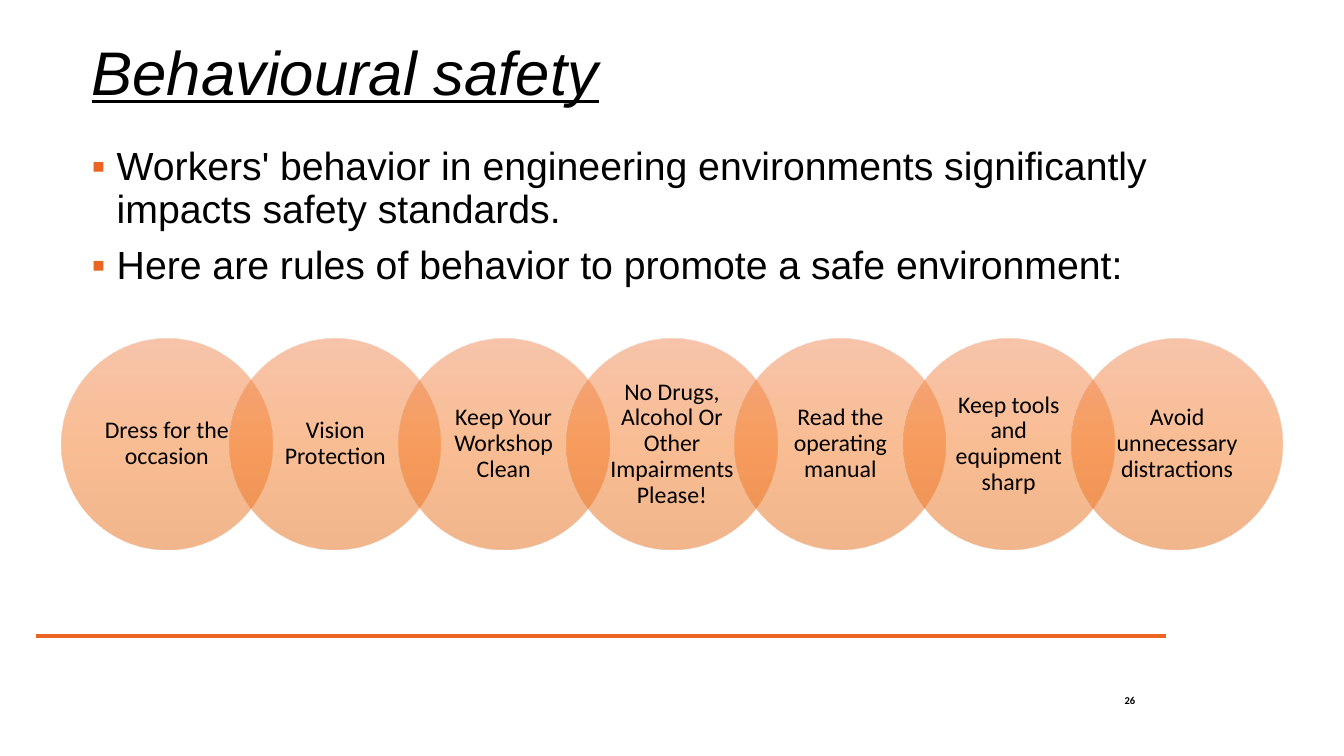
from dataclasses import dataclass

from lxml.etree import SubElement
from pptx import Presentation
from pptx.dml.color import RGBColor
from pptx.enum.shapes import MSO_CONNECTOR, MSO_SHAPE
from pptx.enum.text import MSO_ANCHOR, PP_ALIGN
from pptx.oxml import parse_xml
from pptx.oxml.ns import nsdecls, qn
from pptx.shapes.autoshape import Shape
from pptx.slide import Slide
from pptx.text.text import TextFrame
from pptx.util import Pt

SCALE = 9144  # EMU per px, 100 px to the inch


@dataclass(frozen=True)
class Theme:
    ink: str = "000000"
    accent: str = "EC6422"
    stops: tuple[tuple[int, str], ...] = (
        (0, "F18C57"), (50, "F67B28"), (100, "E56C19"))
    alpha: int = 50
    main: str = "Arial"
    small: str = "Calibri"
    title: float = 44
    body: float = 28
    label: float = 17
    page: float = 7.5
    rule: float = 2.25


@dataclass(frozen=True)
class Box:
    left: int
    top: int
    width: int
    height: int

    def emu(self) -> tuple[int, int, int, int]:
        return px(self.left), px(self.top), px(self.width), px(self.height)


@dataclass(frozen=True)
class Style:
    font: str
    size: float
    align: PP_ALIGN = PP_ALIGN.LEFT
    spacing: float = 0.9
    bold: bool = False
    slant: bool = False
    under: bool = False
    bullet: str = ""


THEME = Theme()
TITLE = Style(THEME.main, THEME.title, slant=True, under=True)
BODY = Style(THEME.main, THEME.body, bullet="▪")
LABEL = Style(THEME.small, THEME.label, PP_ALIGN.CENTER)
PAGE = Style(THEME.small, THEME.page, PP_ALIGN.RIGHT, 1.0, bold=True)

POINTS = (
    "Workers' behavior in engineering environments significantly "
    "impacts safety standards.",
    "Here are rules of behavior to promote a safe environment:",
)
RULES = (
    "Dress for the occasion",
    "Vision Protection",
    "Keep Your Workshop Clean",
    "No Drugs, Alcohol Or Other Impairments Please!",
    "Read the operating manual",
    "Keep tools and equipment sharp",
    "Avoid unnecessary distractions",
)
FIRST = Box(61, 336, 209, 209)
STEP = 167  # distance between the left edges of two circles
INDENT = 25


def px(count: int) -> int:
    return count * SCALE


def write(frame: TextFrame, lines: tuple[str, ...], style: Style,
          anchor: MSO_ANCHOR, inset: tuple[int, int]) -> None:
    """Fill a frame with one paragraph per line; inset is (sides, top and bottom)."""
    frame.word_wrap = True
    frame.vertical_anchor = anchor
    frame.margin_left = frame.margin_right = px(inset[0])
    frame.margin_top = frame.margin_bottom = px(inset[1])
    for index, line in enumerate(lines):
        para = frame.add_paragraph() if index else frame.paragraphs[0]
        if style.bullet:
            props = para._p.get_or_add_pPr()
            props.set("marL", str(px(INDENT)))
            props.set("indent", str(-px(INDENT)))
            tint = SubElement(props, qn("a:buClr"))
            SubElement(tint, qn("a:srgbClr"), val=THEME.accent)
            SubElement(props, qn("a:buFont"), typeface=style.font)
            SubElement(props, qn("a:buChar"), char=style.bullet)
        para.alignment = style.align
        para.line_spacing = style.spacing
        if index:
            para.space_before = Pt(10)
        run = para.add_run()
        run.text = line
        font = run.font
        font.name, font.size = style.font, Pt(style.size)
        font.bold, font.italic, font.underline = style.bold, style.slant, style.under
        font.color.rgb = RGBColor.from_string(THEME.ink)


def add_text(slide: Slide, box: Box, lines: tuple[str, ...], style: Style,
             anchor: MSO_ANCHOR = MSO_ANCHOR.MIDDLE,
             inset: tuple[int, int] = (10, 5)) -> None:
    shape = slide.shapes.add_textbox(*box.emu())
    write(shape.text_frame, lines, style, anchor, inset)


def shade(shape: Shape) -> None:
    """Give the shape the see-through gradient, running from top to bottom."""
    stops = "".join(
        f'<a:gs pos="{place * 1000}"><a:srgbClr val="{tint}">'
        f'<a:alpha val="{THEME.alpha * 1000}"/></a:srgbClr></a:gs>'
        for place, tint in THEME.stops)
    shape.fill.background()
    props = shape._element.spPr
    props.replace(props.find(qn("a:noFill")), parse_xml(
        f'<a:gradFill {nsdecls("a")} rotWithShape="1"><a:gsLst>{stops}</a:gsLst>'
        '<a:lin ang="5400000" scaled="0"/></a:gradFill>'))


def add_circle(slide: Slide, box: Box, label: str) -> None:
    shape = slide.shapes.add_shape(MSO_SHAPE.OVAL, *box.emu())
    shape.shadow.inherit = False
    shade(shape)
    shape.line.fill.background()
    write(shape.text_frame, (label,), LABEL, MSO_ANCHOR.MIDDLE, (11, 2))


def add_rule(slide: Slide, left: int, right: int, top: int) -> None:
    line = slide.shapes.add_connector(
        MSO_CONNECTOR.STRAIGHT, px(left), px(top), px(right), px(top))
    line.line.color.rgb = RGBColor.from_string(THEME.accent)
    line.line.width = Pt(THEME.rule)
    SubElement(line._element.spPr, qn("a:effectLst"))


def main() -> None:
    deck = Presentation()
    deck.slide_width, deck.slide_height = px(1333), px(750)
    slide = deck.slides.add_slide(deck.slide_layouts[6])
    add_rule(slide, 36, 1156, 631)
    add_text(slide, Box(1072, 683, 54, 24), ("26",), PAGE, inset=(0, 0))
    add_text(slide, Box(81, 2, 1150, 145), ("Behavioural safety",), TITLE)
    add_text(slide, Box(81, 141, 1080, 234), POINTS, BODY, MSO_ANCHOR.TOP)
    for index, rule in enumerate(RULES):
        left = FIRST.left + index * STEP
        add_circle(slide, Box(left, FIRST.top, FIRST.width, FIRST.height), rule)
    deck.save("out.pptx")


if __name__ == "__main__":
    main()
